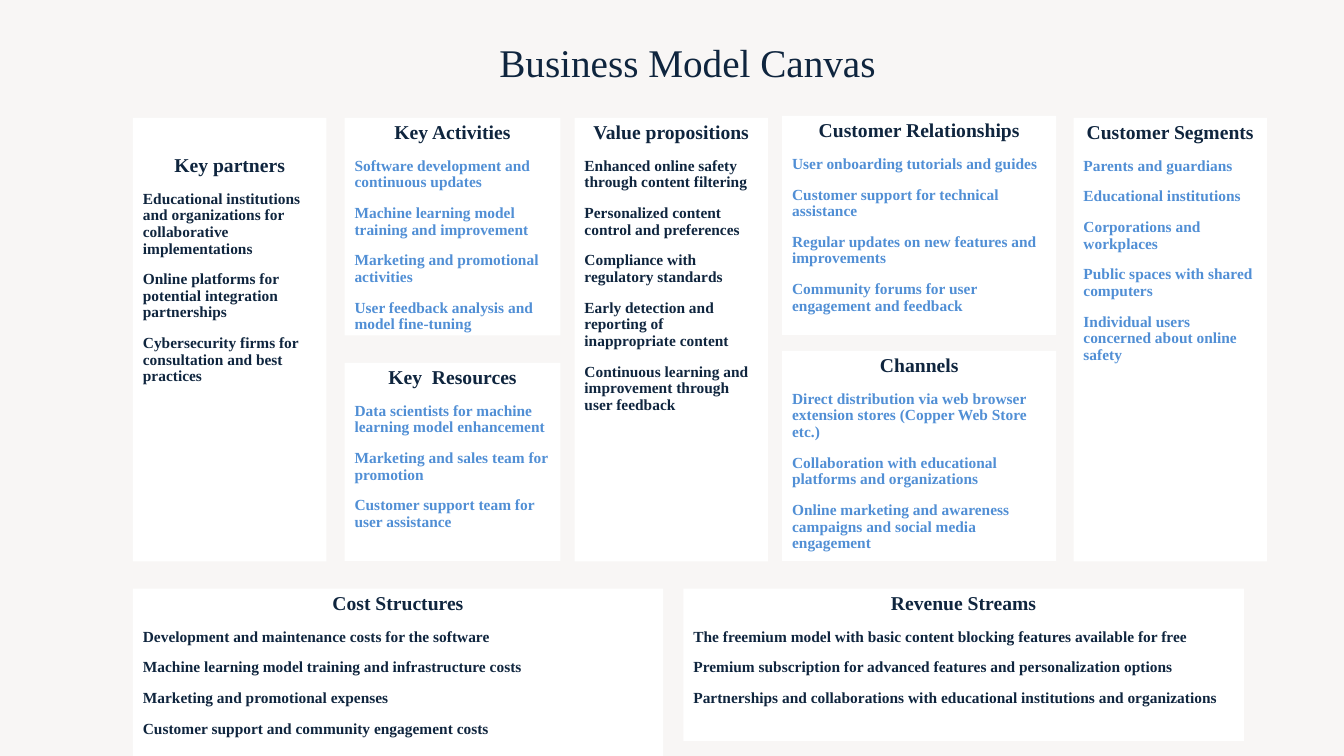
from pptx import Presentation
from pptx.dml.color import RGBColor
from pptx.enum.shapes import MSO_SHAPE
from pptx.enum.text import MSO_ANCHOR, MSO_AUTO_SIZE, PP_ALIGN
from pptx.util import Pt

COLORS = {"backdrop": "F8F6F5", "panel": "FFFFFF", "navy": "0F253E", "blue": "518FD5"}
FONT = "Times New Roman"
TOP, TALL, NARROW = 84.2, 316.8, 138.2
PARTNERS, ACTIVITIES, VALUE, CUSTOMERS, SEGMENTS = 95, 246.2, 410.4, 558.7, 766.8
ACTIVITIES_WIDTH, CUSTOMERS_WIDTH = 154.2, 195.8
BOTTOM_ROW = 420.5

BLOCKS = [
    ("Key partners", (PARTNERS, TOP, NARROW, TALL), "navy", [
        "Educational institutions and organizations for collaborative implementations",
        "Online platforms for potential integration partnerships",
        "Cybersecurity firms for consultation and best practices"]),
    ("Key Activities", (ACTIVITIES, TOP, ACTIVITIES_WIDTH, 155.5), "blue", [
        "Software development and continuous updates",
        "Machine learning model training and improvement",
        "Marketing and promotional activities",
        "User feedback analysis and model fine-tuning"]),
    ("Value propositions", (VALUE, TOP, NARROW, TALL), "navy", [
        "Enhanced online safety through content filtering",
        "Personalized content control and preferences",
        "Compliance with regulatory standards",
        "Early detection and reporting of inappropriate content",
        "Continuous learning and improvement through user feedback"]),
    ("Customer Relationships", (CUSTOMERS, 82.8, CUSTOMERS_WIDTH, 156.5), "blue", [
        "User onboarding tutorials and guides",
        "Customer support for technical assistance",
        "Regular updates on new features and improvements",
        "Community forums for user engagement and feedback"]),
    ("Customer Segments", (SEGMENTS, TOP, NARROW, TALL), "blue", [
        "Parents and guardians",
        "Educational institutions",
        "Corporations and workplaces",
        "Public spaces with shared computers",
        "Individual users concerned about online safety"]),
    ("Key  Resources", (ACTIVITIES, 259.2, ACTIVITIES_WIDTH, 141.5), "blue", [
        "Data scientists for machine learning model enhancement",
        "Marketing and sales team for promotion",
        "Customer support team for user assistance"]),
    ("Channels", (CUSTOMERS, 250.6, CUSTOMERS_WIDTH, 150), "blue", [
        "Direct distribution via web browser extension stores (Copper Web Store etc.)",
        "Collaboration with educational platforms and organizations",
        "Online marketing and awareness campaigns and social media engagement"]),
    ("Cost Structures", (PARTNERS, BOTTOM_ROW, 378.7, 119.5), "navy", [
        "Development and maintenance costs for the software",
        "Machine learning model training and infrastructure costs",
        "Marketing and promotional expenses",
        "Customer support and community engagement costs"]),
    ("Revenue Streams", (488.2, BOTTOM_ROW, 400.3, 108.7), "navy", [
        "The freemium model with basic content blocking features available for free",
        "Premium subscription for advanced features and personalization options",
        "Partnerships and collaborations with educational institutions and organizations"]),
]


class Canvas:
    """Holds the style and the current slide of the business model canvas."""

    def __init__(self, slide):
        self.slide = slide
        backdrop = slide.background.fill
        backdrop.solid()
        backdrop.fore_color.rgb = self.color("backdrop")

    def color(self, name):
        return RGBColor.from_string(COLORS[name])

    def style(self, paragraph, size, color, bold=True, align=PP_ALIGN.LEFT):
        paragraph.alignment = align
        for run in paragraph.runs:
            run.font.name = FONT
            run.font.size = Pt(size)
            run.font.bold = bold
            run.font.color.rgb = self.color(color)

    def title(self, wording, left, top, width, height):
        heading = self.slide.shapes.title
        heading.left, heading.top = Pt(left), Pt(top)
        heading.width, heading.height = Pt(width), Pt(height)
        frame = heading.text_frame
        frame.text = wording
        frame.auto_size = MSO_AUTO_SIZE.NONE
        frame.vertical_anchor = MSO_ANCHOR.MIDDLE
        self.style(frame.paragraphs[0], 28, "navy", False, PP_ALIGN.CENTER)

    def block(self, heading, bounds, color, points, inset=3.6):
        panel = self.slide.shapes.add_shape(MSO_SHAPE.RECTANGLE, *map(Pt, bounds))
        panel.shadow.inherit = False
        panel.fill.solid()
        panel.fill.fore_color.rgb = self.color("panel")
        panel.line.fill.background()
        frame = panel.text_frame
        frame.word_wrap = True
        frame.vertical_anchor = MSO_ANCHOR.TOP
        frame.margin_top = Pt(inset)
        frame.text = "\n".join([heading, *points])
        for paragraph in frame.paragraphs:
            paragraph.line_spacing = 0.9
            paragraph.space_before = Pt(10)
            self.style(paragraph, 11, color)
        frame.paragraphs[0].space_before = Pt(0)
        self.style(frame.paragraphs[0], 14, "navy", align=PP_ALIGN.CENTER)


def main():
    deck = Presentation()
    deck.slide_width, deck.slide_height = Pt(960), Pt(540)
    canvas = Canvas(deck.slides.add_slide(deck.slide_layouts[5]))
    canvas.title("Business Model Canvas", 319.7, 23.8, 342.7, 41)
    for heading, bounds, color, points in BLOCKS:
        inset = 27 if heading == "Key partners" else 3.6
        canvas.block(heading, bounds, color, points, inset)
    deck.save("out.pptx")


if __name__ == "__main__":
    main()
